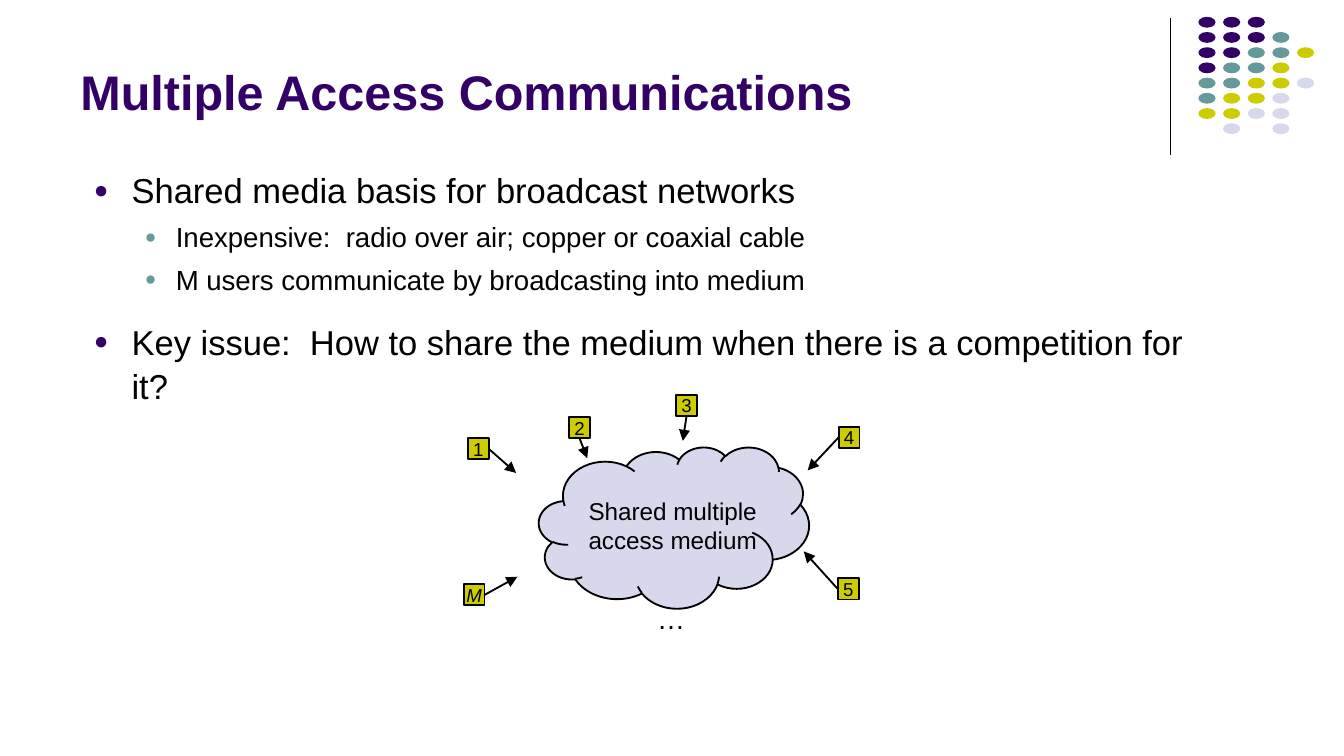
from pptx import Presentation
from pptx.dml.color import RGBColor
from pptx.enum.shapes import MSO_CONNECTOR as CONN, MSO_SHAPE as SHAPE
from pptx.enum.text import MSO_ANCHOR as ANCHOR, PP_ALIGN as ALIGN
from pptx.oxml.ns import qn
from pptx.util import Pt
from lxml.etree import SubElement

COLORS = {"purple": "330066", "teal": "669999", "olive": "CCCC00",
          "lavender": "D8D8EC", "black": "000000"}
rgb = {name: RGBColor.from_string(value) for name, value in COLORS.items()}

prs = Presentation()
prs.slide_width, prs.slide_height = Pt(720), Pt(405)
s = prs.slides.add_slide(prs.slide_layouts[6])


def add_text(x, y, w, h, text, size, color="black", inset=(5, 3), wrap=False):
    sp = s.shapes.add_textbox(Pt(x), Pt(y), Pt(w), Pt(h))
    tf = sp.text_frame
    tf.word_wrap = wrap
    tf.margin_left = tf.margin_right = Pt(inset[0])
    tf.margin_top = tf.margin_bottom = Pt(inset[1])
    tf.text = text
    for p in tf.paragraphs:
        for r in p.runs:
            r.font.name, r.font.size = "Arial", Pt(size)
            r.font.color.rgb = rgb[color]
    return tf


def add_line(x1, y1, x2, y2, width):
    line = s.shapes.add_connector(CONN.STRAIGHT, Pt(x1), Pt(y1), Pt(x2), Pt(y2))
    line.line.color.rgb = rgb["black"]
    line.line.width = Pt(width)
    SubElement(line._element.spPr, qn("a:effectLst"))
    return line


# Corner decoration: rule and dot grid
add_line(627, 9.4, 627, 82.8, 0.75)
dot_colors = {"P": "purple", "T": "teal", "Y": "olive", "L": "lavender"}
dot_rows = ["PPP", "PPPT", "PPTTY", "PTTY", "TTYYL", "TYYL", "YYLL", " L L"]
for row, codes in enumerate(dot_rows):
    for col, code in enumerate(codes):
        if code == " ":
            continue
        dot = s.shapes.add_shape(SHAPE.OVAL, Pt(642 + 13.2 * col),
                                 Pt(9 + 8.15 * row), Pt(9.2), Pt(5.8))
        dot.shadow.inherit = False
        dot.fill.solid()
        dot.fill.fore_color.rgb = rgb[dot_colors[code]]
        dot.line.fill.background()

# Title
tf = add_text(36, 7.2, 594, 60.5, "Multiple Access Communications", 26,
              "purple", (7.2, 3.6), True)
tf.vertical_anchor = ANCHOR.BOTTOM
tf.paragraphs[0].runs[0].font.bold = True

# Bullets: text, level, space before
bullets = [
    ("Shared media basis for broadcast networks", 0, 0),
    ("Inexpensive:  radio over air; copper or coaxial cable", 1, 4),
    ("M users communicate by broadcasting into medium", 1, 4),
    ("Key issue:  How to share the medium when there is a competition for it?", 0, 12),
]
levels = [(20.2, -20.2, "purple", 18.5), (43.9, -16.6, "teal", 14.8)]
tf = add_text(43.2, 85.7, 618.5, 129, "\n".join(b[0] for b in bullets), 18.5,
              inset=(7.2, 3.6), wrap=True)
for p, (text, level, before) in zip(tf.paragraphs, bullets):
    margin, indent, color, size = levels[level]
    p.level = level
    p.line_spacing = 1.06
    p.space_before = Pt(before)
    pPr = p._p.get_or_add_pPr()
    pPr.set("marL", str(Pt(margin)))
    pPr.set("indent", str(Pt(indent)))
    SubElement(SubElement(pPr, qn("a:buClr")), qn("a:srgbClr"), val=COLORS[color])
    SubElement(pPr, qn("a:buSzPct"), val="70000")
    SubElement(pPr, qn("a:buFont"), typeface="Arial")
    SubElement(pPr, qn("a:buChar"), char="●")
    p.runs[0].font.size = Pt(size)

# Shared medium cloud
cloud = s.shapes.add_shape(SHAPE.CLOUD, Pt(288.7), Pt(239.5), Pt(144.7), Pt(86.4))
cloud.shadow.inherit = False
cloud.fill.solid()
cloud.fill.fore_color.rgb = rgb["lavender"]
cloud.line.color.rgb = rgb["black"]
cloud.line.width = Pt(1)
add_text(310.3, 262.8, 100.8, 36.7, "Shared multiple\naccess medium", 13)
add_text(347, 319, 26, 23, "…", 15)

# Users: label, box left and top, connection site, arrow tip
BOTTOM, LEFT, RIGHT = 2, 1, 3
users = [
    ("1", 250.6, 234.7, RIGHT, 276.5, 253.4),
    ("2", 304.9, 223.4, BOTTOM, 314.6, 245.5),
    ("3", 362.2, 211.5, BOTTOM, 365.8, 236.2),
    ("4", 449.3, 228.6, LEFT, 432.7, 252),
    ("5", 448.8, 309.8, LEFT, 430.6, 295.4),
    ("M", 248.4, 313, RIGHT, 277.2, 309),
]
for label, x, y, site, tip_x, tip_y in users:
    box = s.shapes.add_shape(SHAPE.RECTANGLE, Pt(x), Pt(y), Pt(11.2), Pt(11.4))
    box.shadow.inherit = False
    box.fill.solid()
    box.fill.fore_color.rgb = rgb["olive"]
    box.line.color.rgb = rgb["black"]
    box.line.width = Pt(1)
    tf = box.text_frame
    tf.margin_left = tf.margin_right = tf.margin_top = tf.margin_bottom = 0
    tf.word_wrap = False
    tf.vertical_anchor = ANCHOR.MIDDLE
    tf.text = label
    p = tf.paragraphs[0]
    p.alignment = ALIGN.CENTER
    r = p.runs[0]
    r.font.name, r.font.size = "Arial", Pt(10)
    r.font.color.rgb = rgb["black"]
    r.font.italic = label == "M"

    arrow = add_line(x, y, tip_x, tip_y, 1)
    arrow.begin_connect(box, site)
    SubElement(arrow.line._get_or_add_ln(), qn("a:tailEnd"), type="triangle")

prs.save("out.pptx")
